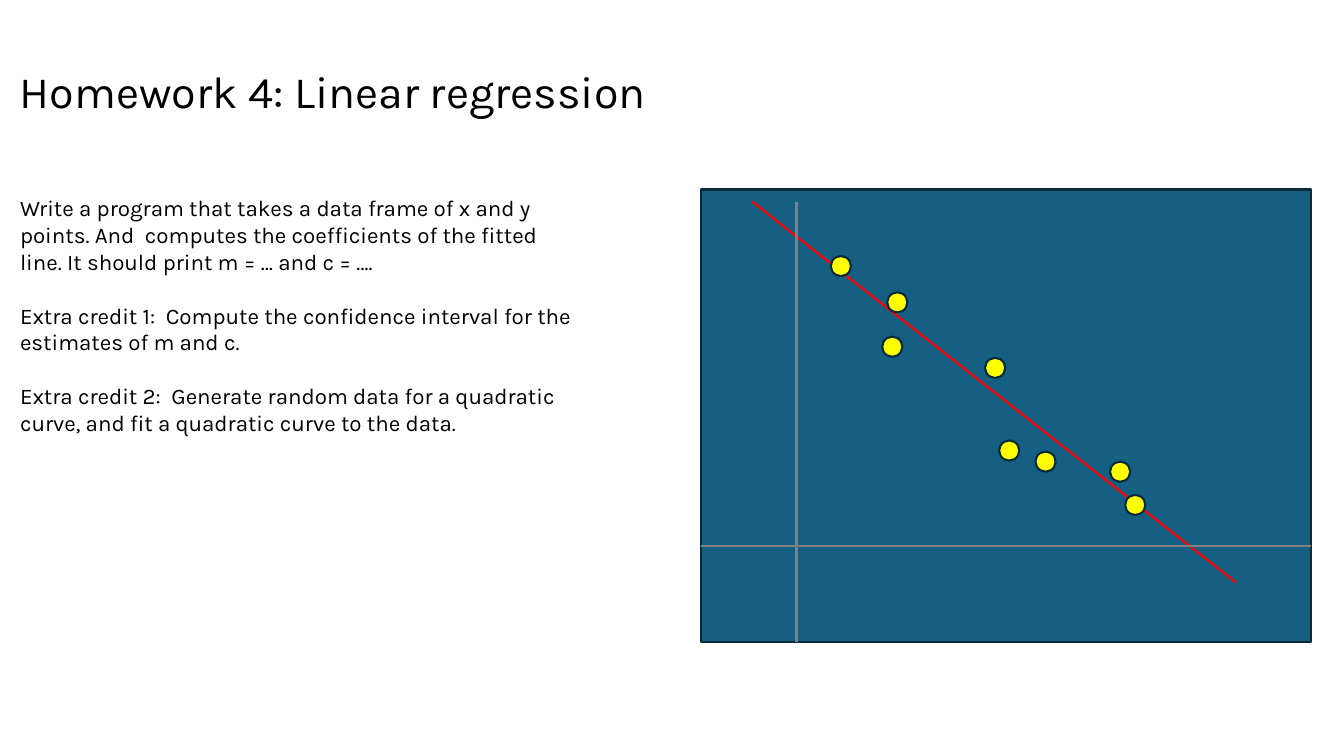
from lxml import etree
from pptx import Presentation
from pptx.dml.color import RGBColor
from pptx.enum.shapes import MSO_CONNECTOR, MSO_SHAPE
from pptx.enum.text import MSO_ANCHOR
from pptx.oxml.ns import qn
from pptx.util import Inches, Pt

RECT, OVAL = MSO_SHAPE.RECTANGLE, MSO_SHAPE.OVAL
STRAIGHT = MSO_CONNECTOR.STRAIGHT
TOP, MIDDLE = MSO_ANCHOR.TOP, MSO_ANCHOR.MIDDLE

FONT = "Karla"
BLACK, NAVY, BLUE = "000000", "092A39", "156082"
RED, GRAY, YELLOW = "FF0000", "808080", "FFFF00"

TITLE = "Homework 4: Linear regression"
TASKS = [
    "Write a program that takes a data frame of x and y points. And  computes "
    "the coefficients of the fitted line. It should print m = … and c = ….",
    "Extra credit 1:  Compute the confidence interval for the estimates of m and c.",
    "Extra credit 2:  Generate random data for a quadratic curve, and fit a "
    "quadratic curve to the data.",
]

# Plot area and axes, in inches
LEFT, TOP_Y, WIDTH, HEIGHT = 6.95, 1.88, 6.05, 4.49
AXIS_X, AXIS_Y, LINE_TOP = 7.9, 5.42, 2
LINES = [
    ((7.46, LINE_TOP), (12.26, 5.78), RED),
    ((AXIS_X, LINE_TOP), (AXIS_X, TOP_Y + HEIGHT), GRAY),
    ((LEFT, AXIS_Y), (LEFT + WIDTH, AXIS_Y), GRAY),
]
DOT = 0.2
# Centres of the data points
POINTS = [(8.34, 2.64), (8.85, 3.44), (9.87, 3.65), (10.01, 4.47),
          (10.37, 4.58), (11.11, 4.68), (11.26, 5.01), (8.9, 3)]


def color(code):
    return RGBColor.from_string(code)


def add_text(slide, paras, box, size=16, anchor=TOP, gap=0, spacing=1.0):
    frame = slide.shapes.add_textbox(*map(Inches, box)).text_frame
    frame.word_wrap = True
    frame.vertical_anchor = anchor
    for i, text in enumerate(paras):
        para = frame.add_paragraph() if i else frame.paragraphs[0]
        para.line_spacing = spacing
        para.space_before = Pt(gap if i else 0)
        run = para.add_run()
        run.text = text
        run.font.name = FONT
        run.font.size = Pt(size)
        run.font.color.rgb = color(BLACK)


def add_form(shapes, kind, box, fill):
    form = shapes.add_shape(kind, *map(Inches, box))
    form.shadow.inherit = False
    form.fill.solid()
    form.fill.fore_color.rgb = color(fill)
    form.line.color.rgb = color(NAVY)
    form.line.width = Pt(1.5)


def add_line(shapes, start, end, code):
    line = shapes.add_connector(STRAIGHT, *map(Inches, start + end))
    line.line.color.rgb = color(code)
    line.line.width = Pt(1.5)
    etree.SubElement(line._element.spPr, qn("a:effectLst"))


def main():
    prs = Presentation()
    prs.slide_width, prs.slide_height = Inches(13.33), Inches(7.5)
    slide = prs.slides.add_slide(prs.slide_layouts[6])

    add_text(slide, [TITLE], (0.1, 0.21, 13.1, 1.45), size=32,
             anchor=MIDDLE, spacing=0.9)

    plot = slide.shapes.add_group_shape().shapes
    add_form(plot, RECT, (LEFT, TOP_Y, WIDTH, HEIGHT), BLUE)
    for start, end, code in LINES:
        add_line(plot, start, end, code)
    for x, y in POINTS:
        add_form(plot, OVAL, (x - DOT / 2, y - DOT / 2, DOT, DOT), YELLOW)

    add_text(slide, TASKS, (0.1, TOP_Y, 5.78, 2.52), gap=19)
    prs.save("out.pptx")


if __name__ == "__main__":
    main()
